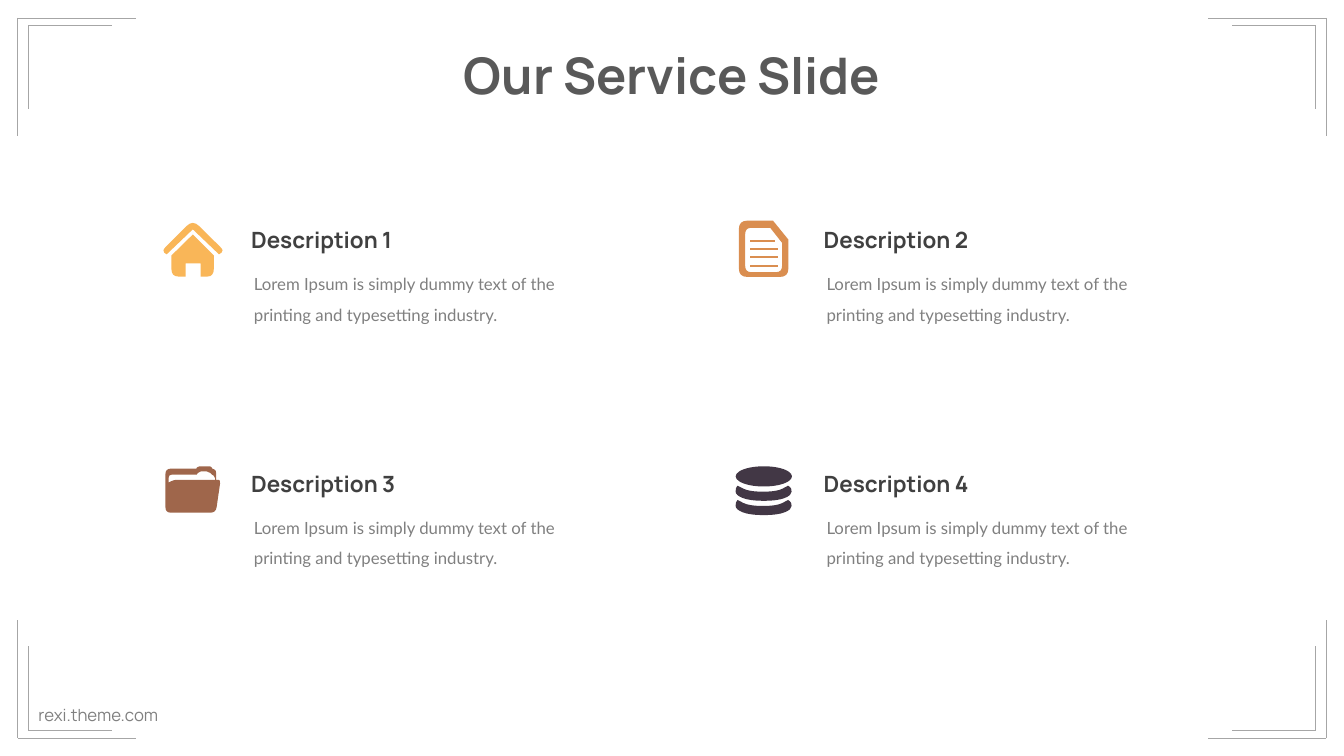
"""Build the service slide: four icons with headings and text in a line frame."""
from lxml import etree
from pptx import Presentation
from pptx.dml.color import RGBColor
from pptx.enum.shapes import MSO_CONNECTOR, MSO_SHAPE
from pptx.enum.text import MSO_ANCHOR, PP_ALIGN
from pptx.oxml.ns import qn
from pptx.util import Cm, Pt

LINE = MSO_CONNECTOR.STRAIGHT
OVAL = MSO_SHAPE.OVAL
TOP = MSO_ANCHOR.TOP
LEFT, CENTER = PP_ALIGN.LEFT, PP_ALIGN.CENTER

WIDE, HIGH = 33.87, 19.05
TITLE = "Our Service Slide"
SITE = "rexi.theme.com"
BODY = ("Lorem Ipsum is simply dummy text of the "
        "printing and typesetting industry.")
ITEMS = [("Description 1", "house", "F9B658"),
         ("Description 2", "page", "DA8E50"),
         ("Description 3", "folder", "9F664B"),
         ("Description 4", "disks", "423745")]
GRID_X, GRID_Y, STEP_X, STEP_Y = 4.07, 5.55, 14.43, 6.13
FRAME = [(0.45, 0.45, 2.97), (0.71, 0.65, 2.11)]
GREY = "A6A6A6"


def bar(x, y, wide, high):
    """Return the corners of a small bar."""
    return [(x, y, 0), (x + wide, y, 0),
            (x + wide, y + high, 0), (x, y + high, 0)]


def ring(y):
    """Return the corners of a crescent below a disk."""
    spots = [(9, 56, 0), (38, 71, 99), (108, 71, 99), (136, 56, 0),
             (145, 62, 99), (145, 80, 99), (110, 94, 99), (40, 94, 99),
             (4, 80, 99), (4, 62, 99)]
    return [(a, b + y, r) for a, b, r in spots]


ICONS = {
    "house": [
        [[(25, 89, 0), (79, 36, 0), (132, 89, 0), (132, 142, 20),
          (99, 142, 0), (99, 109, 0), (61, 109, 0), (61, 142, 0),
          (25, 142, 20)]],
        [[(13, 86, 0), (1, 77, 14), (79, -1, 22), (158, 77, 14),
          (145, 86, 0), (79, 23, 0)]]],
    "page": [
        [[(12, 1, 22), (98, 1, 0), (137, 49, 0), (137, 143, 22),
          (12, 143, 22)],
         [(28, 19, 16), (91, 19, 0), (121, 57, 0), (121, 131, 16),
          (28, 131, 16)]],
        [bar(40, 50, 63, 5)],
        *[[bar(40, y, 70, 5)] for y in (70, 90, 112)]],
    "folder": [
        [[(10, 13, 14), (88, 13, 0), (91, 7, 5), (125, 7, 6), (128, 13, 0),
          (138, 17, 8), (138, 41, 0), (149, 41, 10), (137, 124, 14),
          (10, 124, 14)],
         [(18, 48, 0), (18, 28, 8), (89, 28, 0), (94, 20, 5), (119, 20, 5),
          (127, 28, 0), (135, 32, 6), (135, 41, 0), (32, 41, 8)]]],
    "disks": [[ring(36)], [ring(0)]],
}


def color(code):
    """Turn a hex string into a colour."""
    return RGBColor.from_string(code)


def paint(shape, code):
    """Give a shape a plain fill without line or shadow."""
    shape.shadow.inherit = False
    shape.fill.solid()
    shape.fill.fore_color.rgb = color(code)
    shape.line.fill.background()


def bend(corners):
    """Return x, y and a flag that marks the control point of a curve."""
    points = []
    for i, (x, y, r) in enumerate(corners):
        if not r:
            points.append((x * 10, y * 10, False))
            continue
        ends = []
        for px, py, _ in (corners[i - 1], corners[(i + 1) % len(corners)]):
            size = ((px - x) ** 2 + (py - y) ** 2) ** 0.5
            part = min(r / size, 0.5)
            ends.append((10 * (x + (px - x) * part),
                         10 * (y + (py - y) * part), False))
        points += [ends[0], (x * 10, y * 10, True), ends[1]]
    return points


def curve(shape, flags):
    """Turn marked corners of an outline into curves."""
    route = next(shape._element.iter(qn("a:path")))
    nodes = [n for n in route if n.tag != qn("a:close")]
    for i, flag in enumerate(flags):
        if flag:
            arc = etree.Element(qn("a:quadBezTo"))
            arc.append(nodes[i][0])
            arc.append(nodes[i + 1][0])
            route.replace(nodes[i], arc)
            route.remove(nodes[i + 1])


def draw(slide, loops, x, y, code):
    """Add one outline, with any holes, at a place in centimetres."""
    bent = [bend(loop) for loop in loops]
    first, *holes = [[(a, b) for a, b, _ in loop] for loop in bent]
    pen = slide.shapes.build_freeform(*first[0], scale=Cm(1) / 1000)
    pen.add_line_segments(first[1:])
    for hole in holes:
        pen.move_to(*hole[0])
        pen.add_line_segments(hole[1:])
    shape = pen.convert_to_shape(Cm(x), Cm(y))
    curve(shape, [flag for loop in bent for _, _, flag in loop])
    paint(shape, code)


def write(box, text, face, size, code, bold=False, align=LEFT, wrap=False):
    """Fill a box with one formatted paragraph."""
    frame = box.text_frame
    frame.text = text
    frame.word_wrap = wrap
    frame.vertical_anchor = TOP
    para = frame.paragraphs[0]
    para.alignment = align
    font = para.runs[0].font
    font.name, font.size, font.bold = face, Pt(size), bold
    font.color.rgb = color(code)
    return frame


def label(slide, x, y, wide, high):
    """Add an empty text box."""
    return slide.shapes.add_textbox(Cm(x), Cm(y), Cm(wide), Cm(high))


def rule(slide, x, y, to_x, to_y):
    """Add one thin frame line."""
    line = slide.shapes.add_connector(LINE, Cm(x), Cm(y), Cm(to_x), Cm(to_y))
    line.line.color.rgb = color(GREY)
    line.line.width = Pt(0.5)
    etree.SubElement(line._element.spPr, qn("a:effectLst"))


def border(slide):
    """Add the double lines in all four corners."""
    for right in (False, True):
        for low in (False, True):
            for dx, dy, size in FRAME:
                x = WIDE - dx if right else dx
                y = HIGH - dy if low else dy
                rule(slide, x, y, x, y - size if low else y + size)
                rule(slide, x - size if right else x + size, y, x, y)


def service(slide, i, name, icon, code):
    """Add an icon with its heading and text to the grid."""
    x = GRID_X + i % 2 * STEP_X
    y = GRID_Y + i // 2 * STEP_Y
    for loops in ICONS[icon]:
        draw(slide, loops, x, y, code)
    if icon == "disks":
        disk = slide.shapes.add_shape(OVAL, Cm(x + 0.04), Cm(y + 0.07),
                                      Cm(1.42), Cm(0.51))
        paint(disk, code)
    write(label(slide, x + 2.01, y + 0.03, 4.16, 0.94),
          name, "Manrope", 16, "404040", bold=True)
    text = write(label(slide, x + 2.33, y + 0.98, 7.9, 1.7),
                 BODY, "Lato", 12, "808080", wrap=True)
    text.margin_left = text.margin_right = 0
    text.paragraphs[0].line_spacing = 1.5


def main():
    """Build and save the slide."""
    deck = Presentation()
    deck.slide_width, deck.slide_height = Cm(WIDE), Cm(HIGH)
    slide = deck.slides.add_slide(deck.slide_layouts[5])
    border(slide)
    write(label(slide, 0.7, 17.63, 3.56, 0.76),
          SITE, "Manrope", 12, "808080", align=CENTER)
    for i, item in enumerate(ITEMS):
        service(slide, i, *item)
    title = slide.shapes.title
    title.left, title.top = Cm(11.25), Cm(0.99)
    title.width, title.height = Cm(11.38), Cm(1.8)
    write(title, TITLE, "Manrope", 36, "595959", bold=True, align=CENTER)
    deck.save("out.pptx")


if __name__ == "__main__":
    main()
